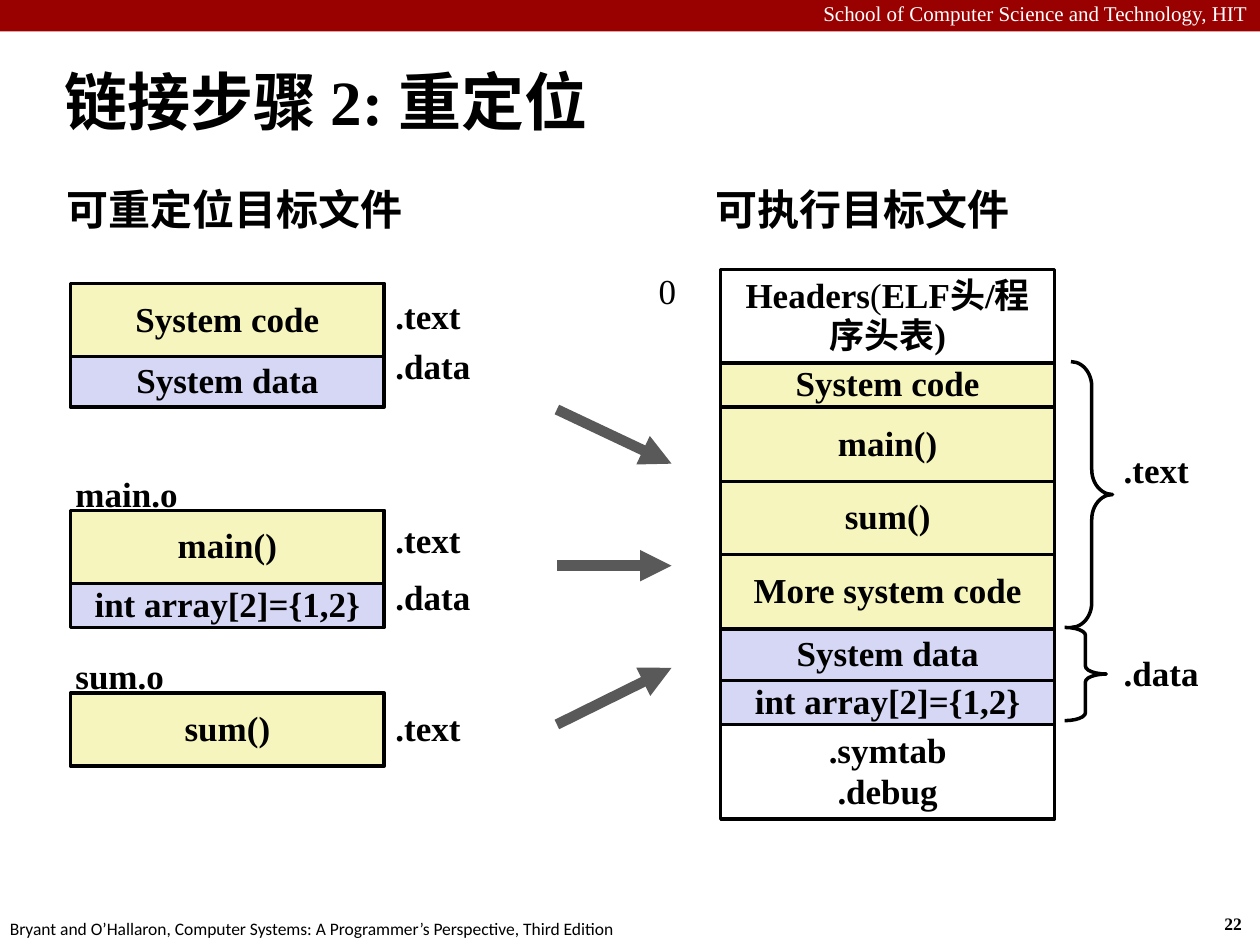
import pptx
import pptx.dml.color
import pptx.enum.shapes
import pptx.enum.text
import pptx.oxml
import pptx.util
from pptx.util import Inches

RGBColor = pptx.dml.color.RGBColor
ALIGN = pptx.enum.text.PP_ALIGN
ANCHOR = pptx.enum.text.MSO_ANCHOR
SHAPE = pptx.enum.shapes.MSO_SHAPE

BLACK = RGBColor(0x00, 0x00, 0x00)
WHITE = RGBColor(0xFF, 0xFF, 0xFF)
BANNER_RED = RGBColor(0x99, 0x00, 0x00)
CODE_YELLOW = RGBColor(0xF6, 0xF5, 0xBD)
DATA_LILAC = RGBColor(0xD6, 0xD6, 0xF5)
ARROW_GRAY = RGBColor(0x59, 0x59, 0x59)

SERIF = "Times New Roman"
LINE_SPACING = 0.96
HEADER_RUNS = (("Headers", True), ("(", False), ("ELF头/程序头表)", True))


def write_text(shape, lines, size=20, bold=True, color=BLACK, font=SERIF,
               align=ALIGN.LEFT, anchor=ANCHOR.TOP, wrap=False):
    """Fill a shape with lines, each a string or a tuple of (text, bold) runs."""
    frame = shape.text_frame
    for name, value in {"word_wrap": wrap, "vertical_anchor": anchor}.items():
        setattr(frame, name, value)
    for index, line in enumerate(lines):
        paragraph = frame.add_paragraph() if index else frame.paragraphs[0]
        paragraph.alignment = align
        paragraph.line_spacing = LINE_SPACING
        for text, run_bold in ((line, bold),) if isinstance(line, str) else line:
            run = paragraph.add_run()
            run.text = text
            run.font.color.rgb = color
            values = {"name": font, "size": pptx.util.Pt(size), "bold": run_bold}
            for name, value in values.items():
                setattr(run.font, name, value)


def add_label(slide, text, left, top, width=0.8, height=0.42, **style):
    """Add a one-line text box."""
    shape = slide.shapes.add_textbox(
        Inches(left), Inches(top), Inches(width), Inches(height))
    write_text(shape, [text], **style)


def add_outlined(slide, kind, left, top, width, height, fill=None, line=BLACK):
    """Add a flat preset shape with an optional fill."""
    shape = slide.shapes.add_shape(
        kind, Inches(left), Inches(top), Inches(width), Inches(height))
    shape.shadow.inherit = False
    if fill is None:
        shape.fill.background()
    else:
        shape.fill.solid()
        shape.fill.fore_color.rgb = fill
    shape.line.color.rgb = line
    shape.line.width = pptx.util.Pt(2)
    return shape


def add_stack(slide, left, top, width, rows):
    """Stack bordered sections of (lines, height, fill) downward from the top."""
    for lines, height, fill in rows:
        shape = add_outlined(slide, SHAPE.RECTANGLE, left, top, width, height, fill)
        write_text(shape, lines, align=ALIGN.CENTER, anchor=ANCHOR.MIDDLE,
                   wrap=lines[0] is HEADER_RUNS)
        top += height


def add_object_file(slide, left, top, name, rows, label_offsets):
    """Add one relocatable file with its name above and section labels beside."""
    add_stack(slide, left, top, 2.49, rows)
    if name:
        add_label(slide, name, left - 0.06, top - 0.33, 1.02)
    for section, offset in zip((".text", ".data"), label_offsets):
        add_label(slide, section, left + 2.48, top + offset)


def add_object_files(slide, left, top):
    """Add the heading and the column of relocatable object files."""
    add_label(slide, "可重定位目标文件", left - 0.13, top, 2.89, 0.5, size=24)
    system_rows = [(["System code"], 0.58, CODE_YELLOW),
                   (["System data"], 0.4, DATA_LILAC)]
    main_rows = [(["main()"], 0.58, CODE_YELLOW),
                 (["int array[2]={1,2}"], 0.35, DATA_LILAC)]
    sum_rows = [(["sum()"], 0.58, CODE_YELLOW)]
    add_object_file(slide, left, top + 0.82, None, system_rows, (0.06, 0.46))
    add_object_file(slide, left, top + 2.62, "main.o", main_rows, (0.04, 0.49))
    add_object_file(slide, left, top + 4.07, "sum.o", sum_rows, (0.08,))


def add_executable(slide, left, top):
    """Add the heading, sections and braces of the executable file."""
    add_label(slide, "可执行目标文件", left - 0.14, top, 2.55, 0.5, size=24)
    add_label(slide, "0", left - 0.59, top + 0.68, 0.34, bold=False)
    add_stack(slide, left, top + 0.71, 2.65, [
        ([HEADER_RUNS], 0.74, WHITE),
        (["System code"], 0.35, CODE_YELLOW),
        (["main()"], 0.59, CODE_YELLOW),
        (["sum()"], 0.58, CODE_YELLOW),
        (["More system code"], 0.59, CODE_YELLOW),
        (["System data"], 0.41, DATA_LILAC),
        (["int array[2]={1,2}"], 0.35, DATA_LILAC),
        ([".symtab", ".debug"], 0.75, WHITE),
    ])
    braces = [(".text", 2.78, 1.44, 2.11, 0.6, 2.1),
              (".data", 2.73, 3.55, 0.74, 0.19, 3.71)]
    for section, x, y, height, curve, label_y in braces:
        brace = add_outlined(
            slide, SHAPE.RIGHT_BRACE, left + x, top + y, 0.33, height)
        brace.adjustments[0] = curve
        add_label(slide, section, left + 3.1, top + label_y)


def add_link_arrows(slide, left, top, width):
    """Add the arrows leading from the object files to the executable."""
    for start, end in ((0, 0.43), (1.24, 1.24), (2.5, 2.05)):
        arrow = slide.shapes.add_connector(
            pptx.enum.shapes.MSO_CONNECTOR.STRAIGHT, Inches(left),
            Inches(top + start), Inches(left + width), Inches(top + end))
        arrow.line.color.rgb = ARROW_GRAY
        arrow.line.width = pptx.util.Pt(6)
        line = arrow.line._get_or_add_ln()
        line.append(pptx.oxml.parse_xml(
            '<a:tailEnd xmlns:a="http://schemas.openxmlformats.org/drawingml/'
            '2006/main" type="triangle"/>'))
        properties = arrow._element.spPr
        properties.append(properties.makeelement(pptx.oxml.ns.qn("a:effectLst")))


def add_frame(slide, width, height):
    """Add the banner at the top and the credits at the bottom."""
    add_outlined(slide, SHAPE.RECTANGLE, 0, 0, width, 0.25, BANNER_RED, BANNER_RED
                 ).line.fill.background()
    add_label(slide, "School of Computer Science and Technology, HIT", 0, -0.03,
              width, 0.3, size=12, bold=False, color=WHITE, align=ALIGN.RIGHT,
              wrap=True)
    add_label(slide, "22", width - 0.38, height - 0.29, 0.37, 0.27, size=10)
    add_label(slide, "Bryant and O’Hallaron, Computer Systems: A Programmer’s "
              "Perspective, Third Edition", -0.02, height - 0.25, 5.08, 0.27,
              size=10, bold=False, font="Calibri")


def set_title(slide, left, top, width, height):
    """Place and format the slide title."""
    title = slide.shapes.title
    box = {"left": left, "top": top, "width": width, "height": height}
    for name, value in box.items():
        setattr(title, name, Inches(value))
    write_text(title, ["链接步骤 2: 重定位"], size=36, anchor=ANCHOR.MIDDLE, wrap=True)


def main():
    """Build the relocation slide and save it."""
    presentation = pptx.Presentation()
    presentation.slide_width = Inches(10)
    presentation.slide_height = Inches(7.5)
    slide = presentation.slides.add_slide(presentation.slide_layouts[5])
    add_frame(slide, 10, 7.5)
    set_title(slide, 0.41, 0.41, 9.51, 0.83)
    add_object_files(slide, 0.56, 1.43)
    add_executable(slide, 5.72, 1.43)
    add_link_arrows(slide, 4.42, 3.25, 0.91)
    presentation.save("out.pptx")


if __name__ == "__main__":
    main()
